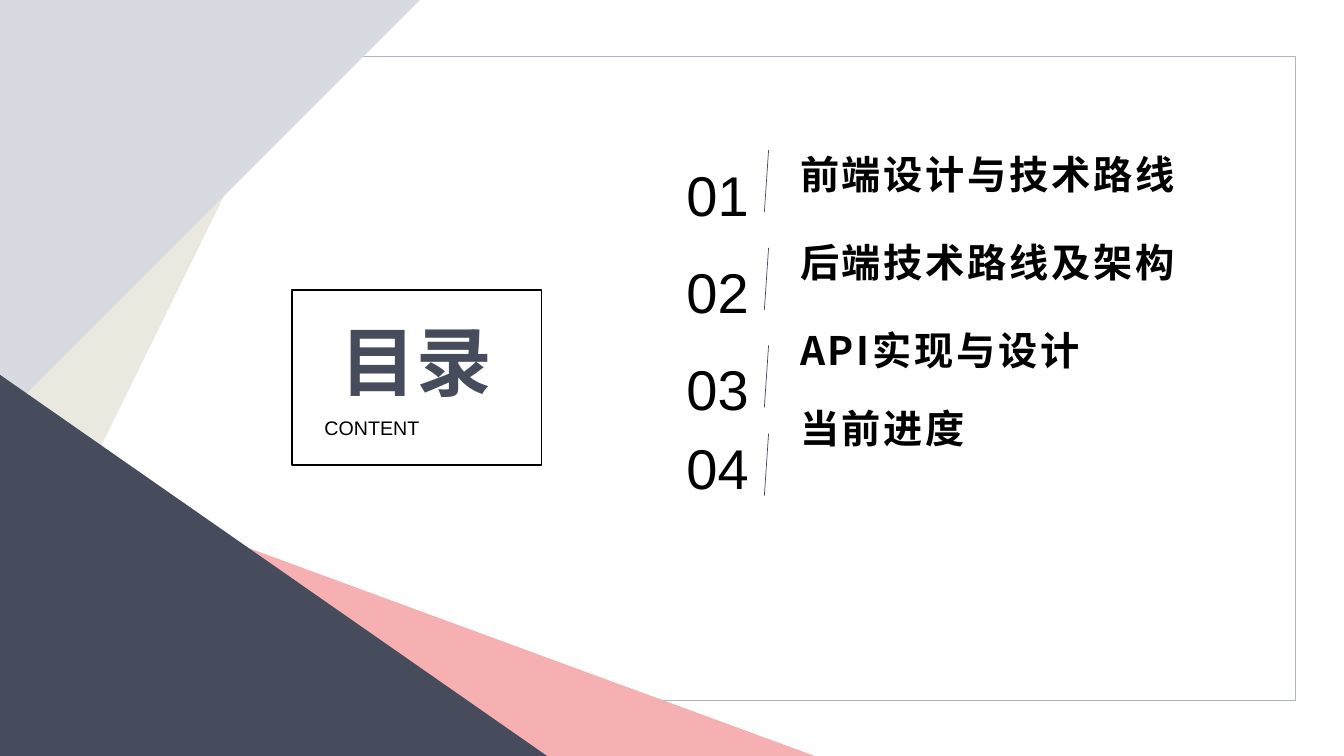
import dataclasses

import lxml.etree
import pptx
import pptx.dml.color
import pptx.enum.shapes
import pptx.enum.text
import pptx.oxml.ns
import pptx.shapes.base
import pptx.slide
import pptx.text.text
import pptx.util

PX = 9525
INK = pptx.dml.color.RGBColor(0x00, 0x00, 0x00)
NAVY = pptx.dml.color.RGBColor(0x46, 0x4C, 0x5B)
GREY = pptx.dml.color.RGBColor(0xD8, 0xDA, 0xE1)
SAND = pptx.dml.color.RGBColor(0xEB, 0xE8, 0xE0)
PINK = pptx.dml.color.RGBColor(0xF6, 0xB0, 0xB1)
EDGE = pptx.dml.color.RGBColor(0xB0, 0xB5, 0xC2)
LATIN = "Arial"
HAN = "Noto Sans CJK SC"
LINE = 40.5
KIND = pptx.enum.shapes.MSO_SHAPE
ALIGN = pptx.enum.text.PP_ALIGN
MID = pptx.enum.text.MSO_ANCHOR.MIDDLE
TOP = pptx.enum.text.MSO_ANCHOR.TOP


@dataclasses.dataclass
class Box:
    left: int
    top: int
    width: int
    height: int


@dataclasses.dataclass
class Wedge:
    points: list[tuple[int, int]]
    fill: pptx.dml.color.RGBColor


@dataclasses.dataclass
class Item:
    name: str
    top: int
    digit: int


BACK = [
    Wedge([(0, 0), (305, 0), (0, 621)], SAND),
    Wedge([(0, 0), (400, 0), (0, 400)], GREY),
    Wedge([(0, 720), (0, 435), (776, 720)], PINK),
    Wedge([(0, 720), (0, 357), (521, 720)], NAVY),
]
ITEMS = [
    Item("前端设计与技术路线", 143, 143),
    Item("后端技术路线及架构", 236, 235),
    Item("API实现与设计", 329, 328),
    Item("当前进度", 413, 403),
]


def place(shape: pptx.shapes.base.BaseShape, box: Box) -> None:
    shape.left, shape.top = box.left * PX, box.top * PX
    shape.width, shape.height = box.width * PX, box.height * PX


def setup(frame: pptx.text.text.TextFrame, wrap: bool,
          anchor: pptx.enum.text.MSO_ANCHOR, inset: int = 0) -> None:
    frame.auto_size = pptx.enum.text.MSO_AUTO_SIZE.NONE
    frame.word_wrap = wrap
    frame.vertical_anchor = anchor
    frame.margin_left = frame.margin_right = frame.margin_bottom = 0
    frame.margin_top = inset * PX


def write(para: pptx.text.text._Paragraph, text: str, size: int, face: str,
          color: pptx.dml.color.RGBColor = INK, bold: bool = False) -> pptx.text.text._Run:
    run = para.add_run()
    run.text = text
    run.font.size = pptx.util.Pt(size)
    run.font.bold = bold
    run.font.color.rgb = color
    run.font.name = face
    east = lxml.etree.SubElement(run.font._element, pptx.oxml.ns.qn("a:ea"))
    east.set("typeface", face)
    return run


def border(slide: pptx.slide.Slide, kind: pptx.enum.shapes.MSO_SHAPE, box: Box,
           color: pptx.dml.color.RGBColor) -> pptx.shapes.base.BaseShape:
    shape = slide.shapes.add_shape(kind, 0, 0, PX, PX)
    place(shape, box)
    shape.shadow.inherit = False
    shape.fill.background()
    shape.line.color.rgb = color
    shape.line.width = pptx.util.Pt(1)
    return shape


def wedge(slide: pptx.slide.Slide, part: Wedge) -> None:
    first, *rest = part.points
    build = slide.shapes.build_freeform(*first, scale=PX)
    build.add_line_segments(rest, close=True)
    shape = build.convert_to_shape()
    shape.shadow.inherit = False
    shape.fill.solid()
    shape.fill.fore_color.rgb = part.fill
    shape.line.fill.background()


def label(slide: pptx.slide.Slide, text: str, box: Box, size: int, align: ALIGN,
          wrap: bool, anchor: pptx.enum.text.MSO_ANCHOR, inset: int = 0) -> None:
    frame = slide.shapes.add_textbox(*(n * PX for n in dataclasses.astuple(box))).text_frame
    setup(frame, wrap, anchor, inset)
    para = frame.paragraphs[0]
    para.alignment = align
    write(para, text, size, LATIN)


def slash(slide: pptx.slide.Slide, top: int) -> None:
    line = slide.shapes.add_connector(
        pptx.enum.shapes.MSO_CONNECTOR.STRAIGHT,
        728 * PX, (top + 59) * PX, 732 * PX, top * PX)
    line.line.color.rgb = NAVY
    line.line.width = pptx.util.Pt(0.5)
    lxml.etree.SubElement(line._element.spPr, pptx.oxml.ns.qn("a:effectLst"))


def agenda(body: pptx.shapes.base.BaseShape) -> None:
    place(body, Box(762, ITEMS[0].top, 447, 325))
    frame = body.text_frame
    setup(frame, True, TOP)
    last = None
    for item in ITEMS:
        para = frame.add_paragraph() if last else frame.paragraphs[0]
        gap = (item.top - last.top) * 0.75 - LINE if last else 0
        para.space_before = pptx.util.Pt(gap)
        para.alignment = ALIGN.LEFT
        props = para._p.get_or_add_pPr()
        props.set("marL", "0")
        props.set("indent", "0")
        lxml.etree.SubElement(props, pptx.oxml.ns.qn("a:buNone"))
        run = write(para, item.name, 28, HAN, bold=True)
        run.font._element.set("spc", "200")
        last = item


def main() -> None:
    deck = pptx.Presentation()
    deck.slide_width, deck.slide_height = 1280 * PX, 720 * PX
    slide = deck.slides.add_slide(deck.slide_layouts[1])
    border(slide, KIND.RECTANGLE, Box(47, 54, 1187, 667 - 54), EDGE)
    for part in BACK:
        wedge(slide, part)
    panel = border(slide, KIND.ROUNDED_RECTANGLE, Box(278, 276, 238, 167), INK)
    panel.adjustments[0] = 0

    title = slide.shapes.title
    place(title, Box(324, 300, 145, 87))
    setup(title.text_frame, False, MID)
    para = title.text_frame.paragraphs[0]
    para.alignment = ALIGN.CENTER
    write(para, "目录", 54, HAN, NAVY, True)
    label(slide, "CONTENT", Box(309, 396, 178, 23), 14, ALIGN.JUSTIFY, True, MID)

    agenda(slide.placeholders[1])
    for rank, item in enumerate(ITEMS, 1):
        label(slide, f"{rank:02}", Box(643, item.digit, 70, 74), 40,
              ALIGN.RIGHT, False, TOP, 10)
        slash(slide, item.top)
    deck.save("out.pptx")


if __name__ == "__main__":
    main()
